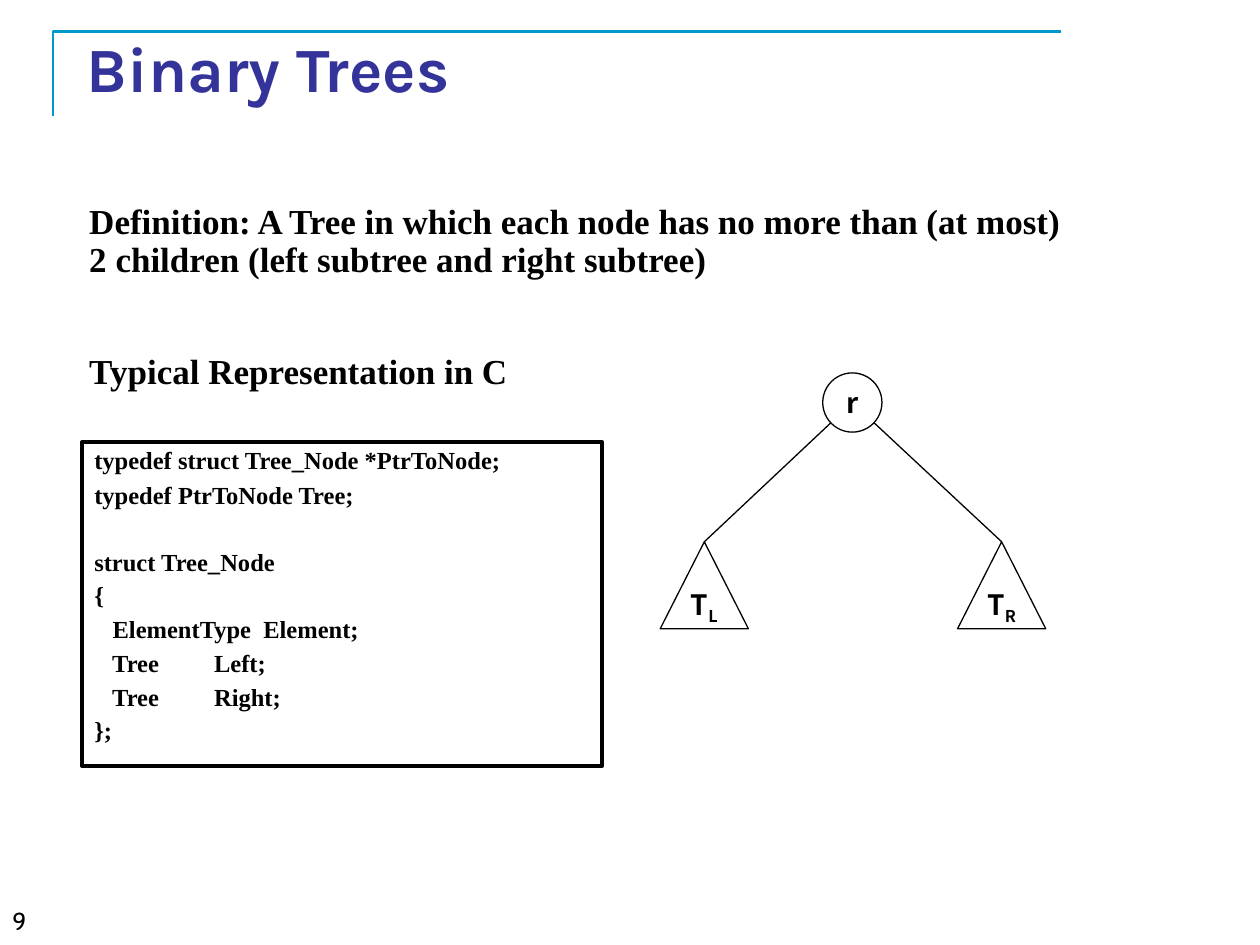
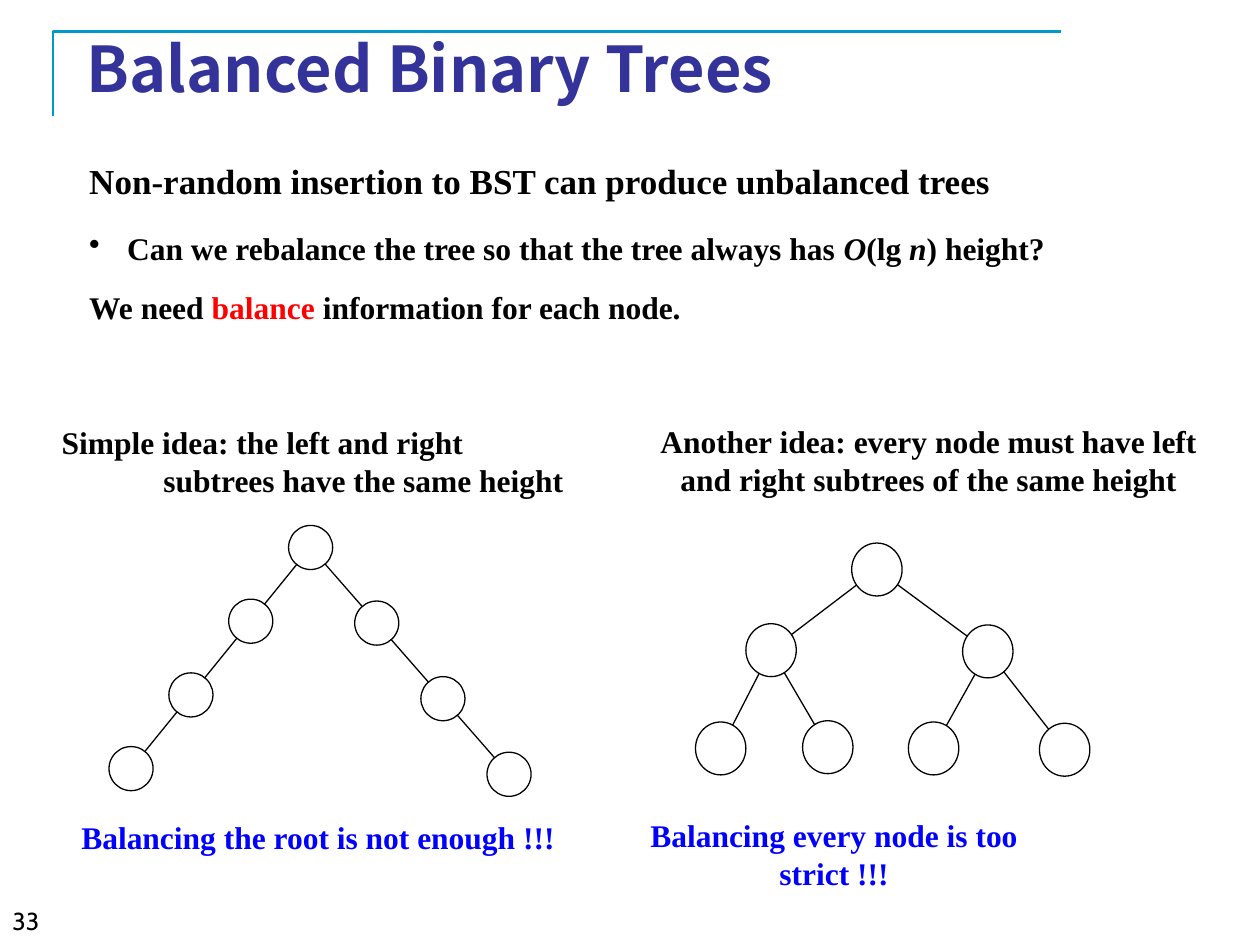
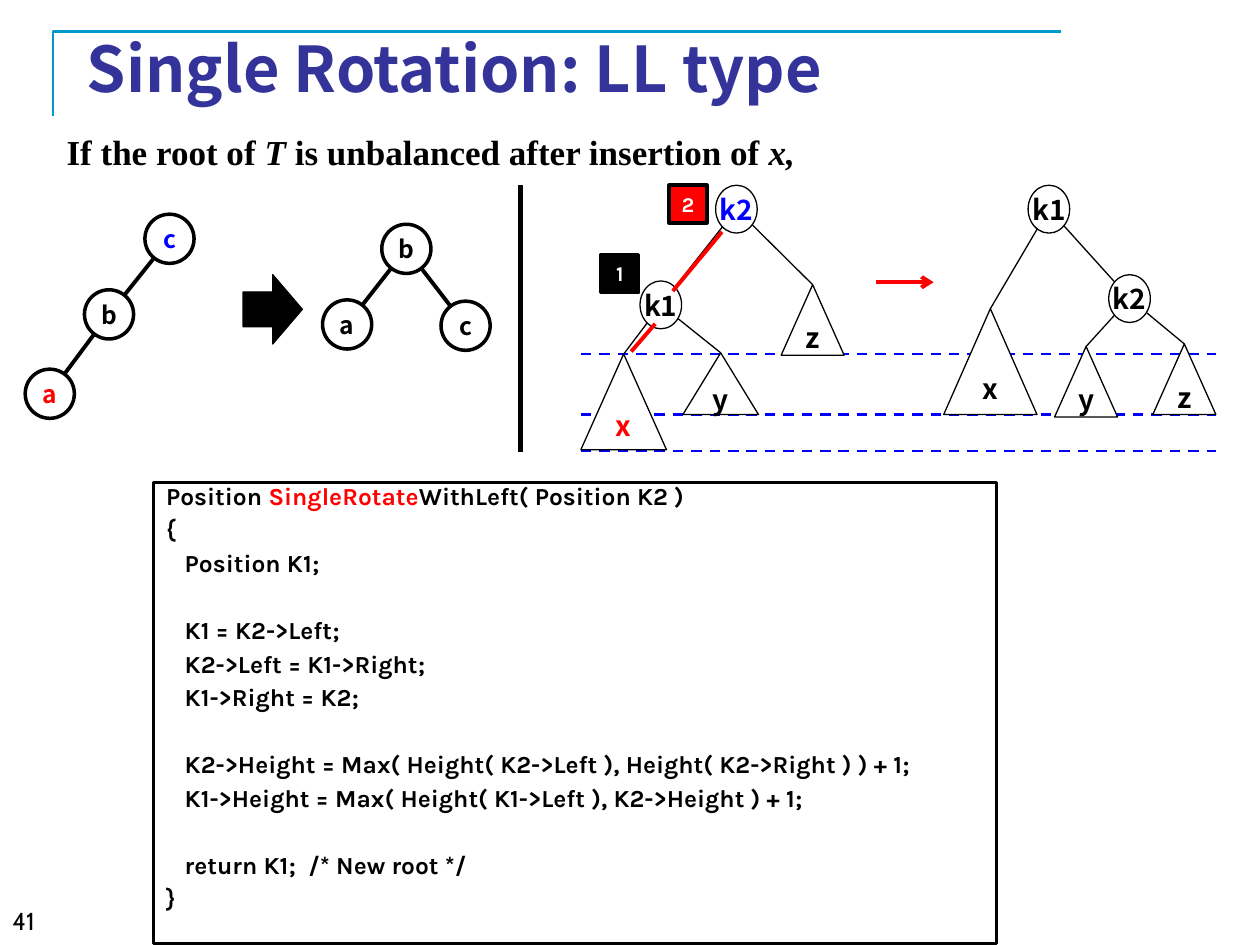
from math import hypot

from lxml import etree
from pptx import Presentation
from pptx.dml.color import RGBColor
from pptx.enum.dml import MSO_LINE
from pptx.enum.shapes import MSO_CONNECTOR, MSO_SHAPE
from pptx.enum.text import MSO_ANCHOR, PP_ALIGN
from pptx.oxml.ns import qn
from pptx.util import Inches, Pt

LEFT, MID, RIGHT = PP_ALIGN.LEFT, PP_ALIGN.CENTER, PP_ALIGN.RIGHT
TOP, CENTRE = MSO_ANCHOR.TOP, MSO_ANCHOR.MIDDLE
OVAL, TRI, RECT = MSO_SHAPE.OVAL, MSO_SHAPE.ISOSCELES_TRIANGLE, MSO_SHAPE.RECTANGLE
ARROW, DASH, LINE = MSO_SHAPE.RIGHT_ARROW, MSO_LINE.DASH, MSO_CONNECTOR.STRAIGHT

# Grid: 100 columns by 75 rows of square cells
WIDE, HIGH = Inches(10), Inches(7.5)
CELL = WIDE / 100

BLACK, WHITE, RED, BLUE = "000000", "FFFFFF", "FF0000", "0000FF"
TEAL, NAVY = "0099CC", "333399"
SERIF, SANS, KARLA, CABIN = "Times New Roman", "Noto Sans CJK KR", "Karla", "Cabin"
SUB, ITAL = "sub", "ital"


def grid(*cells):
    return [round(cell * CELL) for cell in cells]


def tint(text):
    return RGBColor.from_string(text)


# Text
def write(frame, lines, font, size, color=BLACK, bold=True, align=LEFT,
          anchor=TOP, wrap=True):
    """Each line is a string or a list of (text, mark); a mark is SUB, ITAL or a colour."""
    frame.word_wrap = wrap
    frame.vertical_anchor = anchor
    for i, line in enumerate(lines):
        par = frame.paragraphs[0] if i == 0 else frame.add_paragraph()
        par.alignment = align
        if isinstance(line, str):
            par.text, marks = line, [None]
        else:
            marks = [mark for _, mark in line]
            for text, _ in line:
                par.add_run().text = text
        for j, run in enumerate(par.runs):
            mark = marks[min(j, len(marks) - 1)]
            run.font.name, run.font.size, run.font.bold = font, Pt(size), bold
            run.font.color.rgb = tint(color if mark in (None, SUB, ITAL) else mark)
            if mark == ITAL:
                run.font.italic = True
            elif mark == SUB:
                run._r.get_or_add_rPr().set("baseline", "-25000")
    return frame.paragraphs


def label(slide, box, lines, font, size, **style):
    frame = slide.shapes.add_textbox(*grid(*box)).text_frame
    return write(frame, lines, font, size, **style)


def space(pars, leads, gaps):
    for par, lead, gap in zip(pars, leads, gaps):
        par.line_spacing = lead
        if gap:
            par.space_before = Pt(gap)


def bullet(par, inset):
    props = par._p.get_or_add_pPr()
    props.set("marL", str(grid(inset)[0]))
    props.set("indent", str(-grid(inset)[0]))
    etree.SubElement(props, qn("a:buChar")).set("char", "•")


# Shapes and lines
def shape(slide, kind, box, fill=None, weight=0.75):
    item = slide.shapes.add_shape(kind, *grid(*box))
    item.shadow.inherit = False
    if fill:
        item.fill.solid()
        item.fill.fore_color.rgb = tint(fill)
    else:
        item.fill.background()
    item.line.color.rgb = tint(BLACK)
    item.line.width = Pt(weight)
    return item


def tag(item, line, size, color=BLACK, font=SANS):
    frame = item.text_frame
    frame.margin_left = frame.margin_right = frame.margin_top = frame.margin_bottom = 0
    write(frame, [line], font, size, color, align=MID, anchor=CENTRE, wrap=False)


def stroke(slide, start, end, color=BLACK, weight=0.75, dash=None, head=False):
    link = slide.shapes.add_connector(LINE, *grid(*start, *end))
    link.line.color.rgb = tint(color)
    link.line.width = Pt(weight)
    if dash:
        link.line.dash_style = dash
    if head:
        etree.SubElement(link.get_or_add_ln(), qn("a:tailEnd")).set("type", "arrow")
    etree.SubElement(link._element.spPr, qn("a:effectLst"))


# Tree parts: each returns the point and radius where its edges meet
def node(slide, x, y, wide, high, line=None, size=16, color=BLACK, fill=None, weight=0.75):
    item = shape(slide, OVAL, (x - wide / 2, y - high / 2, wide, high), fill, weight)
    if line:
        tag(item, line, size, color)
    return x, y, (wide + high) / 4


def leaf(slide, x, y, wide, high, line, color=BLACK, fill=None):
    tag(shape(slide, TRI, (x - wide / 2, y, wide, high), fill), line, 16, color)
    return x, y, 0


def edge(slide, top, low, weight=0.75):
    (x, y, near), (end, base, far) = top, low
    span = hypot(end - x, base - y)
    across, down = (end - x) / span, (base - y) / span
    stroke(slide, (x + near * across, y + near * down),
           (end - far * across, base - far * down), weight=weight)


def code(slide, box, lines, font, lead=0.7):
    """A framed listing; an empty line becomes a wider gap."""
    rows, gaps = [], []
    gap = 0
    for line in lines:
        if line:
            rows.append(line)
            gaps.append(gap)
            gap = 7.5
        else:
            gap += 18.9
    pars = write(shape(slide, RECT, box, WHITE, 2).text_frame, rows, font, 14)
    space(pars, [lead] + [0.7] * len(rows), gaps)


# What every slide shares
def start(deck, title, number, font=SANS):
    slide = deck.slides.add_slide(deck.slide_layouts[6])
    path = [grid(*point) for point in ((4.2, 9.2), (4.2, 2.5), (84.2, 2.5))]
    pen = slide.shapes.build_freeform(*path[0])
    pen.add_line_segments(path[1:], close=False)
    frame = pen.convert_to_shape()
    frame.shadow.inherit = False
    frame.fill.background()
    frame.line.color.rgb = tint(TEAL)
    frame.line.width = Pt(1.5)
    label(slide, (5.9, 3, 85, 4.7), [title], font, 36, color=NAVY, anchor=CENTRE)
    label(slide, (0, 71.4, 31.2, 3.6), [number], CABIN, 14, bold=False)
    return slide


def binary(deck):
    slide = start(deck, "Binary Trees", "9", KARLA)
    pars = label(slide, (6.1, 15.7, 87.2, 16.5), [
        "Definition: A Tree in which each node has no more than (at most)\v"
        "2 children (left subtree and right subtree)",
        "Typical Representation in C"], SERIF, 20)
    space(pars, [0.9, 0.9], [0, 42.5])

    # Root and two subtrees
    root = node(slide, 67.65, 31.95, 4.7, 4.7, "r")
    for x, side in ((55.9, "L"), (79.5, "R")):
        edge(slide, root, leaf(slide, x, 43, 7, 6.9, [("T", None), (side, SUB)]))

    code(slide, (6.5, 35.1, 41.3, 25.7), [
        "typedef struct Tree_Node *PtrToNode;",
        "typedef PtrToNode Tree;",
        "",
        "struct Tree_Node",
        "{",
        "   ElementType  Element;",
        "   Tree         Left;",
        "   Tree         Right;",
        "};"], SERIF, 0.9)


def balanced(deck):
    slide = start(deck, "Balanced Binary Trees", "33")
    pars = label(slide, (6.1, 11.5, 87.2, 15.1), [
        "Non-random insertion to BST can produce unbalanced trees",
        [("Can we rebalance the tree so that the tree always has ", None), ("O", ITAL),
         ("(lg ", None), ("n", ITAL), (") height?", None)],
        [("We need ", None), ("balance ", RED), ("information for each node.", None)],
    ], SERIF, 18)
    pars[0].runs[0].font.size = Pt(20)
    space(pars, [1.2, 1.1, 1.1], [0, 13.5, 10])
    bullet(pars[1], 3)

    # Captions
    pars = label(slide, (3.9, 33.1, 41.8, 7.1), [
        "Simple idea: the left and right", "subtrees have the same height"], SERIF, 18)
    pars[1].alignment = RIGHT
    for box, text, color in (
            ((49.6, 33, 48.2, 7.1), "Another idea: every node must have left "
             "and right subtrees of the same height", BLACK),
            ((4.9, 64.4, 40.7, 4), "Balancing the root is not enough !!!", BLUE),
            ((50.2, 64.3, 32, 7.1), "Balancing every node is too strict !!!", BLUE)):
        label(slide, box, [text], SERIF, 18, color=color, align=MID)

    # Two chains below one root
    x, y = 24.65, 43.45
    root = node(slide, x, y, 3.5, 3.5)
    for across, down in ((-4.75, 5.85), (5.25, 6)):
        last = root
        for step in (1, 2, 3):
            item = node(slide, x + step * across, y + step * down, 3.5, 3.5)
            edge(slide, last, item)
            last = item

    # Full tree, level by level
    spots = [(69.6, 45.2), (61.2, 51.6), (78.4, 51.7),
             (57.2, 59.4), (65.7, 59.3), (74.1, 59.4), (84.5, 59.5)]
    nodes = [node(slide, *spot, 4, 4.2) for spot in spots]
    for i in range(1, len(nodes)):
        edge(slide, nodes[(i - 1) // 2], nodes[i])


def rotation(deck):
    slide = start(deck, "Single Rotation: LL type", "41")
    label(slide, (4.3, 9.9, 77.8, 4.4), [[
        ("If the root of ", None), ("T ", ITAL),
        ("is unbalanced after insertion of ", None), ("x,", ITAL)]], SERIF, 20)

    # Small example: chain, arrow, rotated tree
    def ring(x, y, name, color=BLACK):
        return node(slide, x, y, 3.9, 3.9, name, 14, color, WHITE, 2)

    high, mid, low = ring(13.45, 18.95, "c", BLUE), ring(8.65, 24.95, "b"), ring(3.95, 31.25, "a", RED)
    top, left, right = ring(32.25, 19.75, "b"), ring(27.55, 25.75, "a"), ring(36.95, 25.85, "c")
    for pair in ((high, mid), (mid, low), (top, left), (top, right)):
        edge(slide, *pair, weight=2.25)
    shape(slide, ARROW, (19.3, 21.8, 4.7, 5.5), BLACK)
    stroke(slide, (41.3, 14.7), (41.3, 35.9), weight=3)

    # Height levels
    for y in (28.1, 32.9, 35.8):
        stroke(slide, (46.1, y), (96.5, y), BLUE, 1.5, DASH)

    # General case, before and after
    def key(x, y, name, color=BLACK):
        return node(slide, x, y, 3.3, 3.8, name, color=color, fill=WHITE)

    def part(x, y, wide, high, name, color=BLACK):
        return leaf(slide, x, y, wide, high, name, color, WHITE)

    old, kid = key(58.45, 16.6, "k2", BLUE), key(52.45, 24.2, "k1")
    new, drop = key(83.25, 16.6, "k1"), key(89.65, 23.7, "k2")
    for pair in (
            (old, kid), (old, part(64.5, 22.6, 5, 5.6, "z")),
            (kid, part(49.5, 28.1, 6.8, 7.6, "x", RED)),
            (kid, part(57.2, 28, 6, 4.9, "y")),
            (new, drop), (new, part(78.6, 24.5, 7.4, 8.4, "x")),
            (drop, part(86.2, 27.5, 5, 5.6, "y")),
            (drop, part(94, 27.3, 5, 5.6, "z"))):
        edge(slide, *pair)
    stroke(slide, (69.5, 22.4), (74.1, 22.4), RED, 2.25, head=True)

    # Insertion route and balance marks
    stroke(slide, (57.3, 18.4), (53.4, 23.1), RED, 2.25)
    stroke(slide, (52, 25.7), (50.1, 27.9), RED, 2.25)
    for x, y, mark, fill in ((47.7, 20.2, "1", BLACK), (53.1, 14.7, "2", RED)):
        tag(shape(slide, RECT, (x, y, 3, 3), fill, 2), mark, 12, WHITE, KARLA)

    code(slide, (12.2, 38.3, 66.9, 36.6), [
        [("Position ", None), ("SingleRotate", RED), ("WithLeft( Position K2 )", None)],
        "{",
        "   Position K1;",
        "",
        "   K1 = K2->Left;",
        "   K2->Left = K1->Right;",
        "   K1->Right = K2;",
        "",
        "   K2->Height = Max( Height( K2->Left ), Height( K2->Right ) ) + 1;",
        "   K1->Height = Max( Height( K1->Left ), K2->Height ) + 1;",
        "",
        "   return K1;  /* New root */",
        "}"], KARLA)


def main():
    deck = Presentation()
    deck.slide_width, deck.slide_height = WIDE, HIGH
    binary(deck)
    balanced(deck)
    rotation(deck)
    deck.save("out.pptx")


if __name__ == "__main__":
    main()
